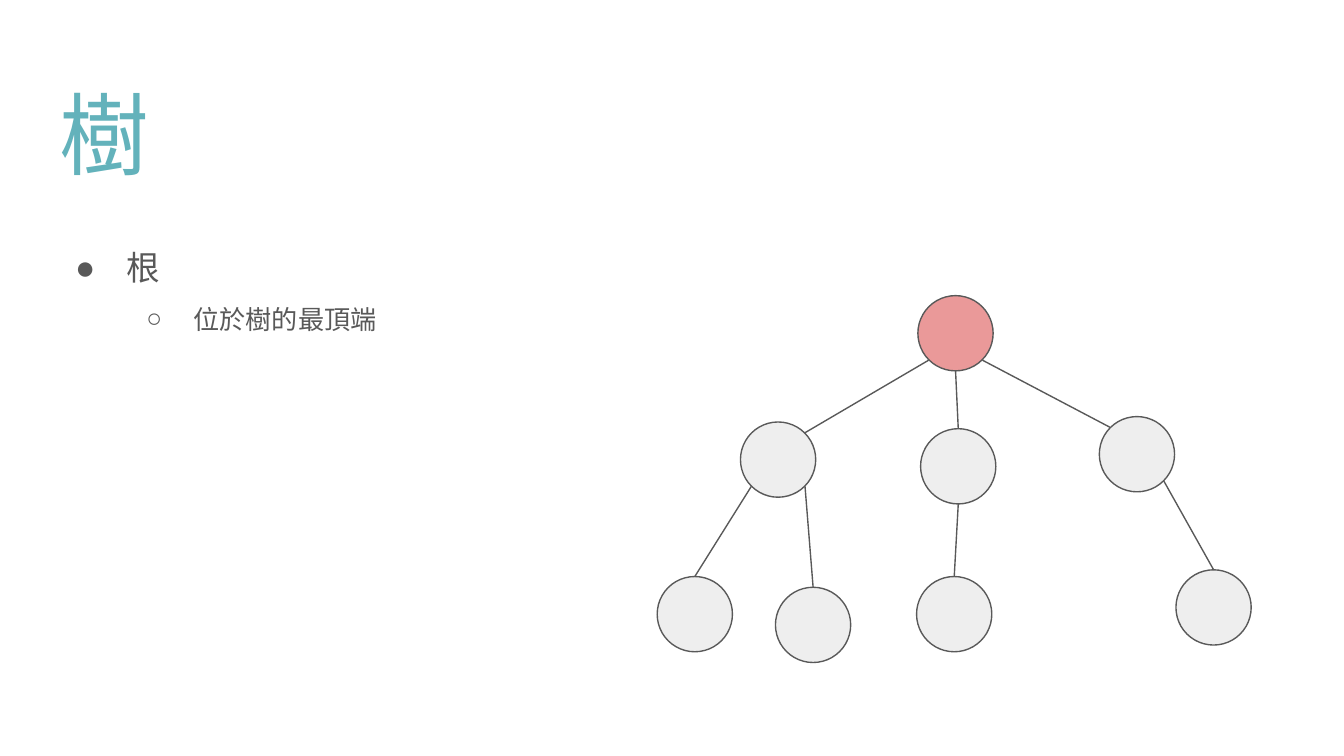
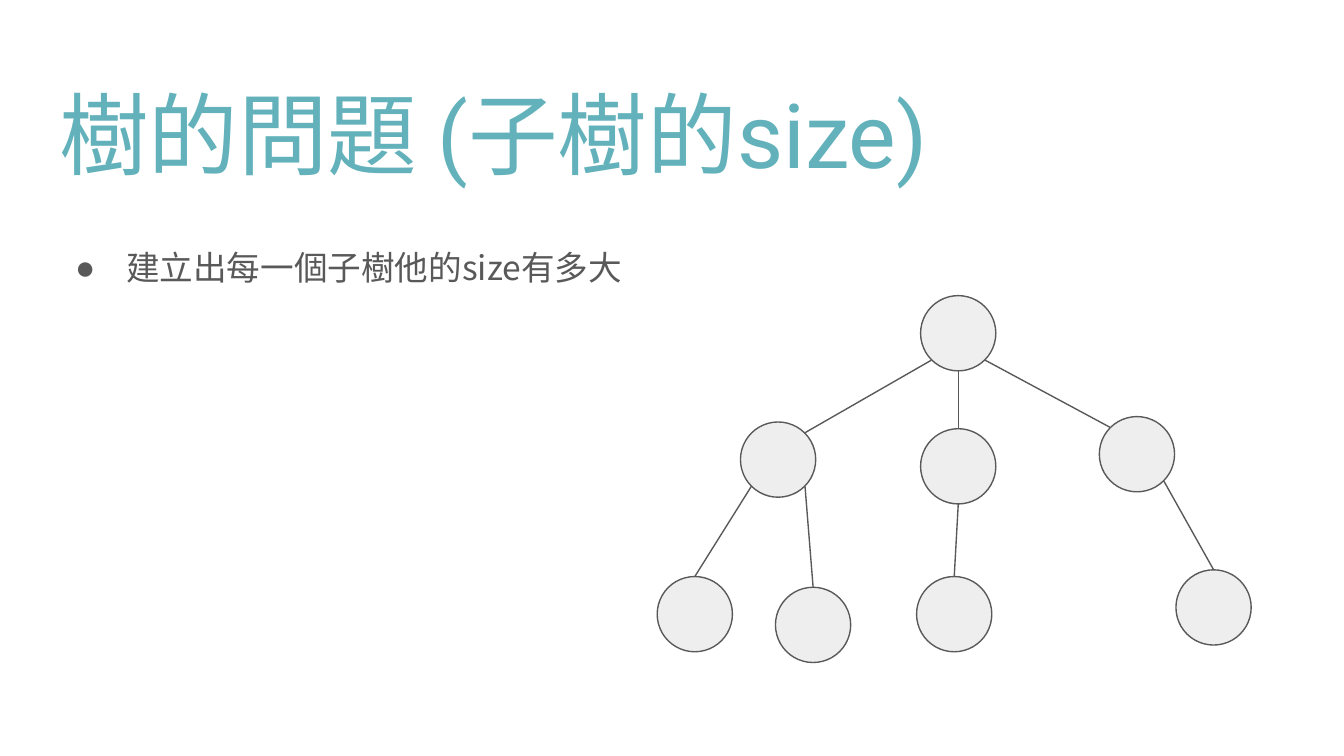
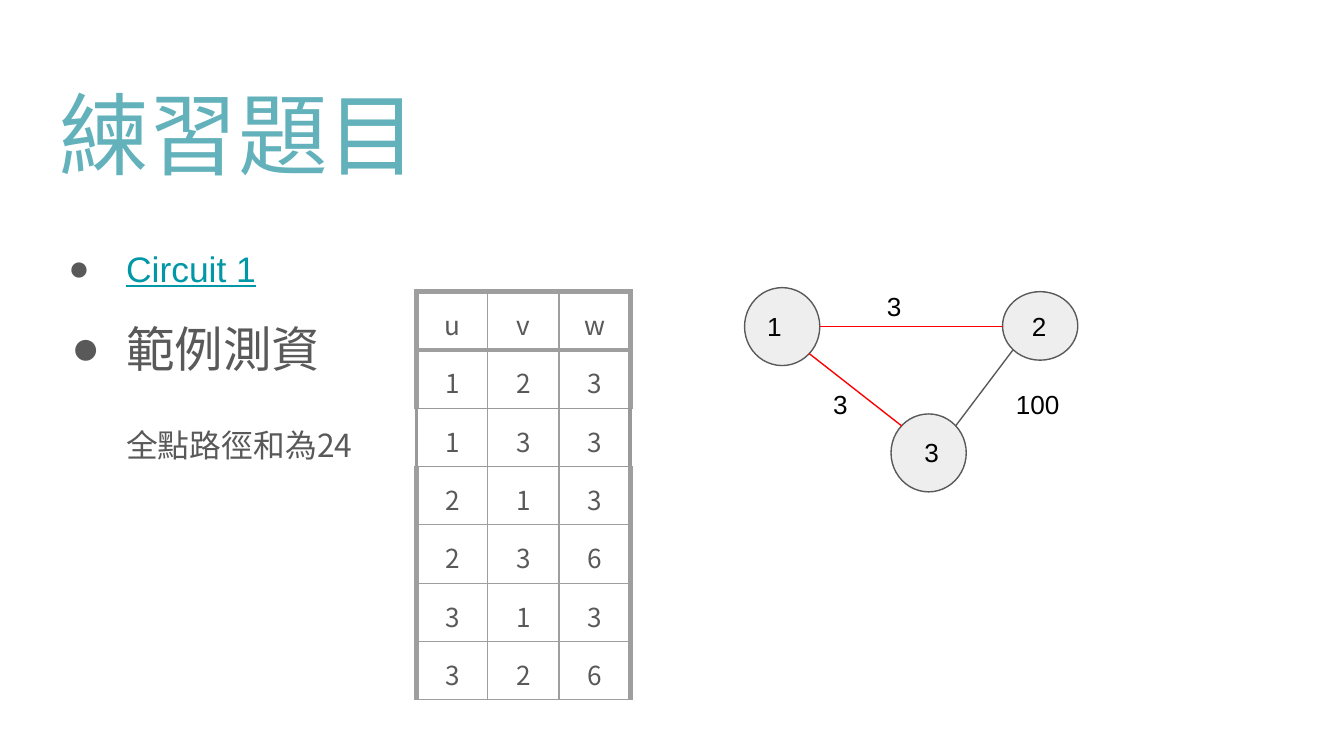
"""Build three slides on trees: the root, subtree sizes and a practice problem."""
from lxml.etree import SubElement
from pptx import Presentation
from pptx.dml.color import RGBColor
from pptx.enum.shapes import MSO_CONNECTOR, MSO_SHAPE
from pptx.enum.text import MSO_ANCHOR, MSO_AUTO_SIZE, PP_ALIGN
from pptx.oxml.ns import qn
from pptx.util import Pt

PX = 9144
NOTO = "Noto Sans CJK TC"
TEAL, GRAY, LINK = "63B2BB", "595959", "0097A7"
PALE, ROSE, RED, BLACK = "EEEEEE", "EA9999", "FF0000", "000000"
RULE, RULE_DARK = "9E9E9E", "999999"
BOX = {"margin_left": 10 * PX, "margin_right": 10 * PX,
       "margin_top": 10 * PX, "margin_bottom": 10 * PX}
SITES = {"t": (0.5, 0), "l": (0, 0.5), "b": (0.5, 1), "r": (1, 0.5),
         "tl": (0.15, 0.15), "tr": (0.85, 0.15),
         "bl": (0.15, 0.85), "br": (0.85, 0.85)}


def color(fill, value):
    fill.solid()
    fill.fore_color.rgb = RGBColor.from_string(value)


def write(p, text, size, value, name=NOTO, **fmt):
    r = p.add_run()
    r.text = text
    for key, val in {"size": Pt(size), "name": name, **fmt}.items():
        setattr(r.font, key, val)
    color(r.font.fill, value)
    SubElement(r.font._element, qn("a:ea"), typeface=NOTO)


branches = [(551, 314, 56, 56), (685, 319, 56, 56), (818, 310, 56, 56),
            (489, 429, 56, 56), (682, 429, 56, 56), (577, 437, 56, 56),
            (875, 424, 56, 56)]
tree_edges = [(0, "bl", 1, "tr", GRAY), (0, "b", 2, "t", GRAY),
              (0, "br", 3, "tl", GRAY), (1, "bl", 4, "t", GRAY),
              (1, "br", 6, "t", GRAY), (2, "b", 5, "t", GRAY),
              (3, "br", 7, "t", GRAY)]
triangle = [(554, 214, 56, 58), (746, 217, 56, 51), (663, 308, 56, 58)]
triangle_edges = [(0, "br", 2, "tl", RED), (1, "bl", 2, "tr", GRAY),
                  (1, "l", 0, "r", RED)]

bullet = {"left": 50, "hang": 38, "char": "●", "size": 18}
pages = [
    {"title": "樹", "top": 159, "first": ROSE,
     "nodes": [(683, 220, 56, 56)] + branches, "edges": tree_edges,
     "body": [{**bullet, "text": "根"},
              {"text": "位於樹的最頂端", "left": 100, "hang": 35,
               "char": "○", "size": 14, "level": 1}]},
    {"title": "樹的問題 (子樹的size)", "top": 159, "first": "EFEFEF",
     "nodes": [(685, 220, 56, 56)] + branches, "edges": tree_edges,
     "body": [{**bullet, "text": "建立出每一個子樹他的size有多大"}]},
    {"title": "練習題目", "top": 158, "first": PALE,
     "nodes": triangle, "edges": triangle_edges,
     "body": [{**bullet, "text": "Circuit 1", "hang": 43, "size": 19,
               "color": LINK, "name": "Arial", "underline": True},
              {**bullet, "text": "範例測資", "hang": 41, "size": 26},
              {"text": "全點路徑和為24", "left": 50, "hang": 0,
               "size": 17, "before": 16}]},
]

prs = Presentation()
prs.slide_width, prs.slide_height = 1000 * PX, 1000 * PX * 9 // 16

for page in pages:
    s = prs.slides.add_slide(prs.slide_layouts[5])
    title = s.shapes.title
    title.left, title.top, title.width, title.height = (
        v * PX for v in (34, 49, 932, 99))
    tf = title.text_frame
    for key, val in {**BOX, "word_wrap": True, "auto_size": MSO_AUTO_SIZE.NONE,
                     "vertical_anchor": MSO_ANCHOR.MIDDLE}.items():
        setattr(tf, key, val)
    tf.paragraphs[0].alignment = PP_ALIGN.LEFT
    write(tf.paragraphs[0], page["title"], 48, TEAL, "Roboto")

    body = s.shapes.add_textbox(34 * PX, page["top"] * PX, 932 * PX, 340 * PX)
    tf = body.text_frame
    for key, val in {**BOX, "word_wrap": True}.items():
        setattr(tf, key, val)
    for i, item in enumerate(page["body"]):
        p = tf.add_paragraph() if i else tf.paragraphs[0]
        pPr = p._p.get_or_add_pPr()
        pPr.set("marL", str(item["left"] * PX))
        pPr.set("indent", str(-item["hang"] * PX))
        if "char" in item:
            SubElement(SubElement(pPr, qn("a:buClr")), qn("a:srgbClr"), val=GRAY)
            SubElement(pPr, qn("a:buFont"), typeface="Arial")
            SubElement(pPr, qn("a:buChar"), char=item["char"])
        p.level = item.get("level", 0)
        p.line_spacing = 1.5
        if "before" in item:
            p.space_before = Pt(item["before"])
        write(p, item["text"], item["size"], item.get("color", GRAY),
              item.get("name", NOTO), underline=item.get("underline"))

    for i, node in enumerate(page["nodes"]):
        sp = s.shapes.add_shape(MSO_SHAPE.OVAL, *(v * PX for v in node))
        sp.shadow.inherit = False
        color(sp.fill, PALE if i else page["first"])
        color(sp.line.fill, GRAY)
        sp.line.width = Pt(0.75)

    for start, leave, end, arrive, value in page["edges"]:
        ends = []
        for n, site in ((start, leave), (end, arrive)):
            x, y, w, h = page["nodes"][n]
            fx, fy = SITES[site]
            ends += [int(x + w * fx + 0.5) * PX, int(y + h * fy + 0.5) * PX]
        edge = s.shapes.add_connector(MSO_CONNECTOR.STRAIGHT, *ends)
        color(edge.line.fill, value)
        edge.line.width = Pt(0.75)
        SubElement(edge._element.spPr, qn("a:effectLst"))

labels = [("3", 650, 206, 43), ("3", 610, 279, 43), ("100", 746, 279, 61),
          ("1", 561, 221, 43), ("2", 758, 221, 43), ("3", 678, 315, 43)]
for text, x, y, w in labels:
    tf = s.shapes.add_textbox(x * PX, y * PX, w * PX, 44 * PX).text_frame
    for key, val in {**BOX, "word_wrap": True,
                     "auto_size": MSO_AUTO_SIZE.SHAPE_TO_FIT_TEXT}.items():
        setattr(tf, key, val)
    write(tf.paragraphs[0], text, 14, BLACK, "Arial")

rows = ["uvw", "123", "133", "213", "236", "313", "326"]
last = len(rows[0]) - 1
table = s.shapes.add_table(len(rows), len(rows[0]), 310 * PX, 217 * PX,
                           159 * PX, 217 * PX).table
table.first_row = table.horz_banding = False
for col in table.columns:
    col.width = 53 * PX
for i, row in enumerate(rows):
    table.rows[i].height = 31 * PX
    side = (RULE_DARK, 2.25) if i == 2 else (RULE, 3)
    thin = (RULE, 0.75)
    above = {0: (RULE, 3), 1: (RULE, 2.25)}.get(
        i, (RULE_DARK if i in (2, 3) else RULE, 0.75))
    below = (RULE, 2.25) if i == 0 else (RULE_DARK if i in (1, 2) else RULE, 0.75)
    for j, text in enumerate(row):
        cell = table.cell(i, j)
        for key, val in {**BOX, "vertical_anchor": MSO_ANCHOR.MIDDLE}.items():
            setattr(cell, key, val)
        p = cell.text_frame.paragraphs[0]
        p.alignment = PP_ALIGN.CENTER
        write(p, text, 14, GRAY)
        borders = {"a:lnL": thin if j else side,
                   "a:lnR": side if j == last else thin,
                   "a:lnT": above, "a:lnB": below}
        tcPr = cell._tc.get_or_add_tcPr()
        for tag, (value, width) in borders.items():
            ln = SubElement(tcPr, qn(tag), w=str(Pt(width)))
            SubElement(SubElement(ln, qn("a:solidFill")), qn("a:srgbClr"), val=value)
        cell.fill.background()

prs.save("out.pptx")
